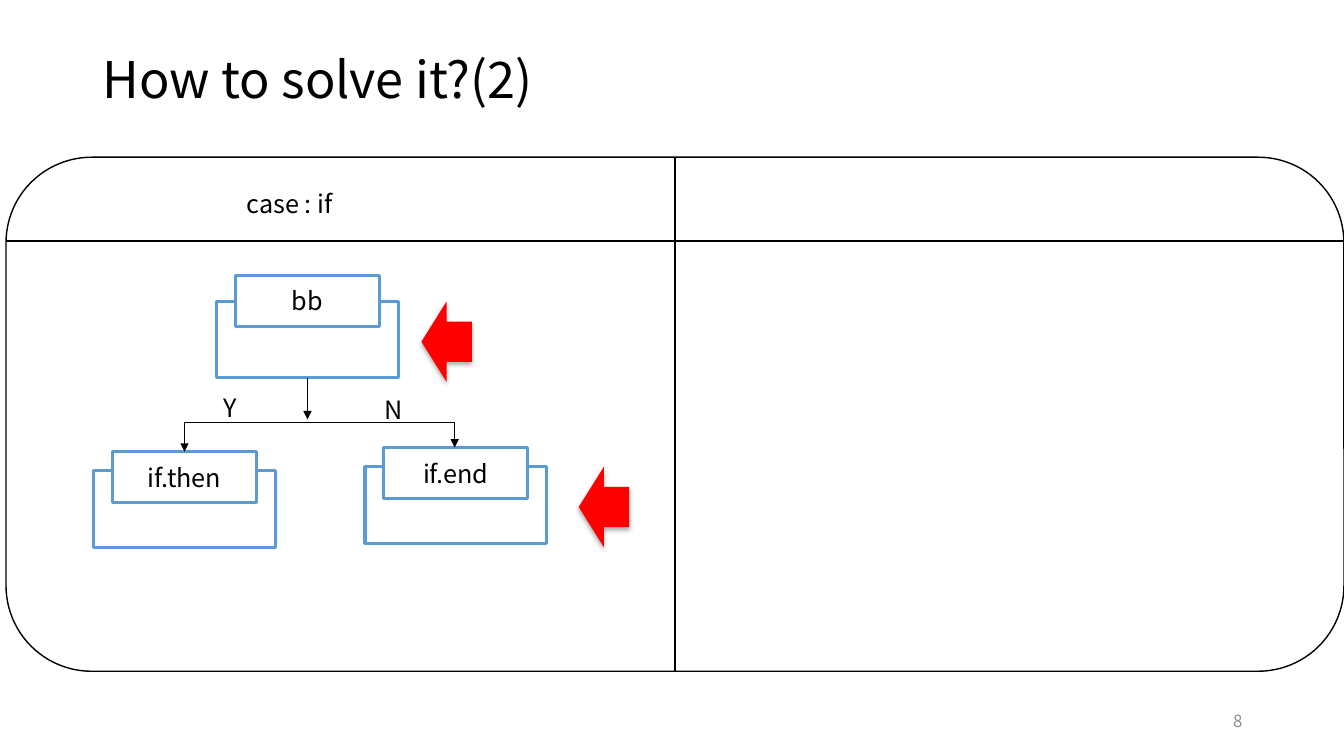
from lxml.etree import SubElement
from pptx import Presentation
from pptx.dml.color import RGBColor
from pptx.enum.shapes import MSO_CONNECTOR as Connector, MSO_SHAPE as Shape
from pptx.enum.text import MSO_ANCHOR as Anchor, PP_ALIGN as Align
from pptx.oxml.ns import qn
from pptx.util import Inches, Pt

FONT = "Noto Sans CJK KR"
BLACK = RGBColor(0x00, 0x00, 0x00)
WHITE = RGBColor(0xFF, 0xFF, 0xFF)
GRAY = RGBColor(0x8C, 0x8C, 0x8C)
BLUE = RGBColor(0x5B, 0x9B, 0xD5)
RED = RGBColor(0xFF, 0x00, 0x00)

BLOCK_WIDTH, BLOCK_HEIGHT = 1.8, 0.76
LABEL_WIDTH, LABEL_HEIGHT = 1.43, 0.51


def write_text(shape, text, size=18, color=BLACK, align=Align.LEFT,
               anchor=Anchor.TOP, spacing=None):
    frame = shape.text_frame
    frame.word_wrap = True
    frame.vertical_anchor = anchor
    paragraph = frame.paragraphs[0]
    paragraph.alignment = align
    if spacing:
        paragraph.line_spacing = spacing
    run = paragraph.add_run()
    run.text = text
    run.font.name = FONT
    run.font.size = Pt(size)
    run.font.color.rgb = color


def add_text(slide, box, text, **text_format):
    shape = slide.shapes.add_textbox(*map(Inches, box))
    write_text(shape, text, **text_format)


def add_box(slide, kind, box, fill=None, line=None, width=1):
    shape = slide.shapes.add_shape(kind, *map(Inches, box))
    shape.shadow.inherit = False
    if fill is None:
        shape.fill.background()
    else:
        shape.fill.solid()
        shape.fill.fore_color.rgb = fill
    if line is None:
        shape.line.fill.background()
    else:
        shape.line.color.rgb = line
        shape.line.width = Pt(width)
    return shape


def style_line(shape, *ends):
    """Black 1 pt line; ends lists the arrowheads: headEnd, then tailEnd."""
    shape.line.color.rgb = BLACK
    shape.line.width = Pt(1)
    line = shape.line._get_or_add_ln()
    for end in ends:
        SubElement(line, qn(f"a:{end}"), type="triangle")


def add_line(slide, start, stop, *ends):
    line = slide.shapes.add_connector(
        Connector.STRAIGHT, *map(Inches, (*start, *stop)))
    style_line(line, *ends)
    SubElement(line._element.spPr, qn("a:effectLst"))


def add_branch(slide, points):
    """Open elbow path with an arrowhead at both ends."""
    corners = [(Inches(x), Inches(y)) for x, y in points]
    builder = slide.shapes.build_freeform(*corners[0])
    builder.add_line_segments(corners[1:], close=False)
    branch = builder.convert_to_shape()
    branch.shadow.inherit = False
    branch.fill.background()
    style_line(branch, "headEnd", "tailEnd")


def add_block(slide, left, top, name, label_rise):
    """Basic block whose name label overlaps its top edge."""
    add_box(slide, Shape.RECTANGLE, (left, top, BLOCK_WIDTH, BLOCK_HEIGHT),
            line=BLUE, width=2.25)
    label_left = left + (BLOCK_WIDTH - LABEL_WIDTH) / 2
    label = add_box(slide, Shape.RECTANGLE,
                    (label_left, top - label_rise, LABEL_WIDTH, LABEL_HEIGHT),
                    fill=WHITE, line=BLUE, width=2.25)
    write_text(label, name, align=Align.CENTER, anchor=Anchor.MIDDLE)


def add_marker(slide, left, top):
    """Red arrow with a soft shadow below it."""
    arrow = add_box(slide, Shape.LEFT_ARROW, (left, top, 0.5, 0.8), fill=RED)
    effects = arrow._element.spPr.find(qn("a:effectLst"))
    shadow = SubElement(effects, qn("a:outerShdw"), blurRad=str(Pt(3.5)),
                        dist=str(Pt(2.2)), dir="5400000", rotWithShape="0")
    color = SubElement(shadow, qn("a:srgbClr"), val="000000")
    SubElement(color, qn("a:alpha"), val="32000")


def add_panel(slide, left, top, width, height):
    """Rounded frame behind the diagram."""
    add_box(slide, Shape.ROUNDED_RECTANGLE, (left, top, width, height),
            fill=WHITE, line=BLACK)


def add_panel_rules(slide, left, top, width, height):
    """Column divider, header rule and header text."""
    middle, header = left + width / 2, top + 0.83
    add_line(slide, (middle, top), (middle, top + height))
    add_line(slide, (left, header), (left + width, header))
    add_text(slide, (left + 2.29, top + 0.26, 2.06, 0.4), "case : if")


def add_flow(slide, left, top):
    """Flow of the if case, placed from its top left corner."""
    add_block(slide, left, top + 1.94, "if.then", 0.19)
    add_block(slide, left + 2.69, top + 1.9, "if.end", 0.19)
    add_block(slide, left + 1.22, top + 0.26, "bb", 0.26)
    add_text(slide, (left + 1.19, top + 1.11, 0.46, 0.4), "Y")
    add_text(slide, (left + 2.79, top + 1.13, 0.46, 0.4), "N")
    add_marker(slide, left + 3.25, top + 0.26)
    add_marker(slide, left + 4.81, top + 1.9)
    then_x, end_x, fork_y = left + 0.9, left + 3.58, top + 1.46
    add_branch(slide, [(then_x, top + 1.75), (then_x, fork_y),
                       (end_x, fork_y), (end_x, top + 1.71)])
    stem_x = left + 2.12
    add_line(slide, (stem_x, top + 1.02), (stem_x, top + 1.43), "tailEnd")


def main():
    presentation = Presentation()
    presentation.slide_width = Inches(13.33)
    presentation.slide_height = Inches(7.5)
    slide = presentation.slides.add_slide(presentation.slide_layouts[6])

    panel = (0.06, 1.56, 13.27, 5.1)
    add_panel(slide, *panel)
    add_text(slide, (0.92, 0.4, 11.5, 0.84), "How to solve it?(2)",
             size=36, anchor=Anchor.MIDDLE, spacing=0.9)
    add_text(slide, (9.42, 6.95, 3, 0.4), "8", size=12, color=GRAY,
             align=Align.RIGHT, anchor=Anchor.MIDDLE)
    add_flow(slide, 0.93, 2.73)
    add_panel_rules(slide, *panel)

    presentation.save("out.pptx")


if __name__ == "__main__":
    main()
